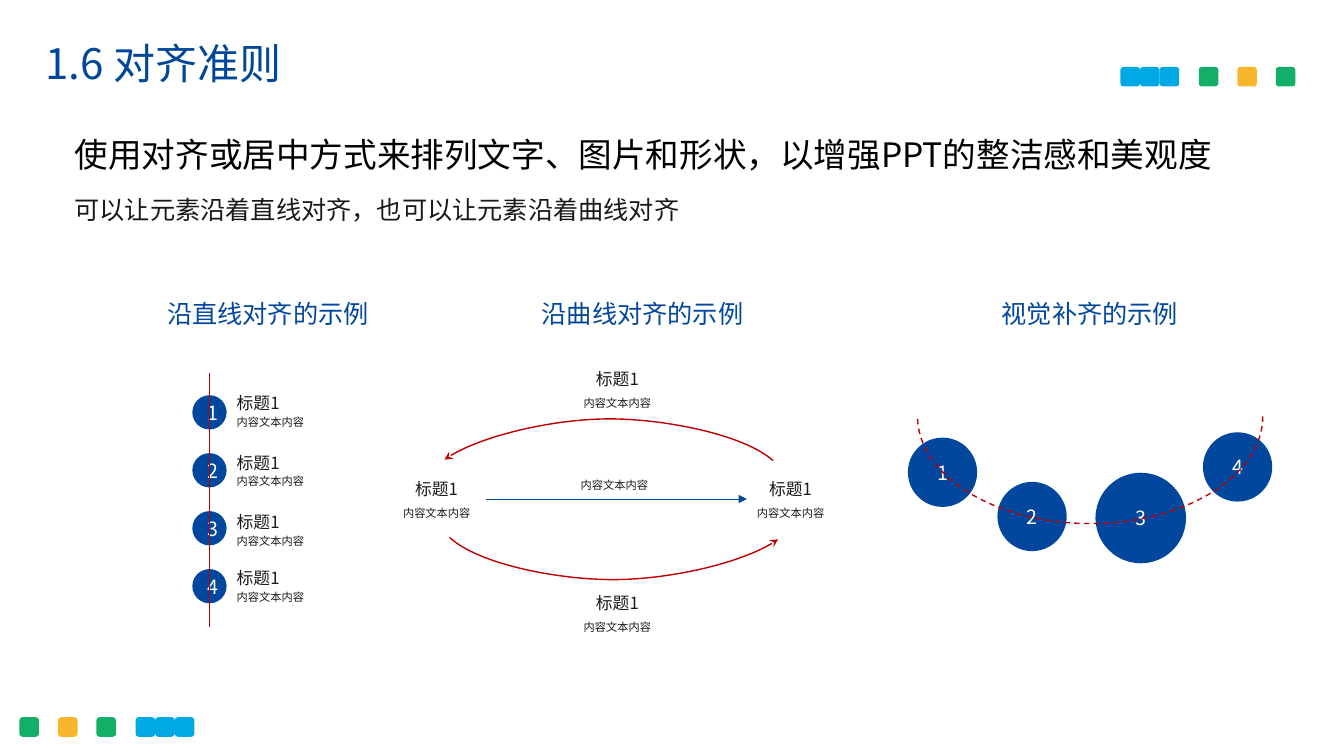
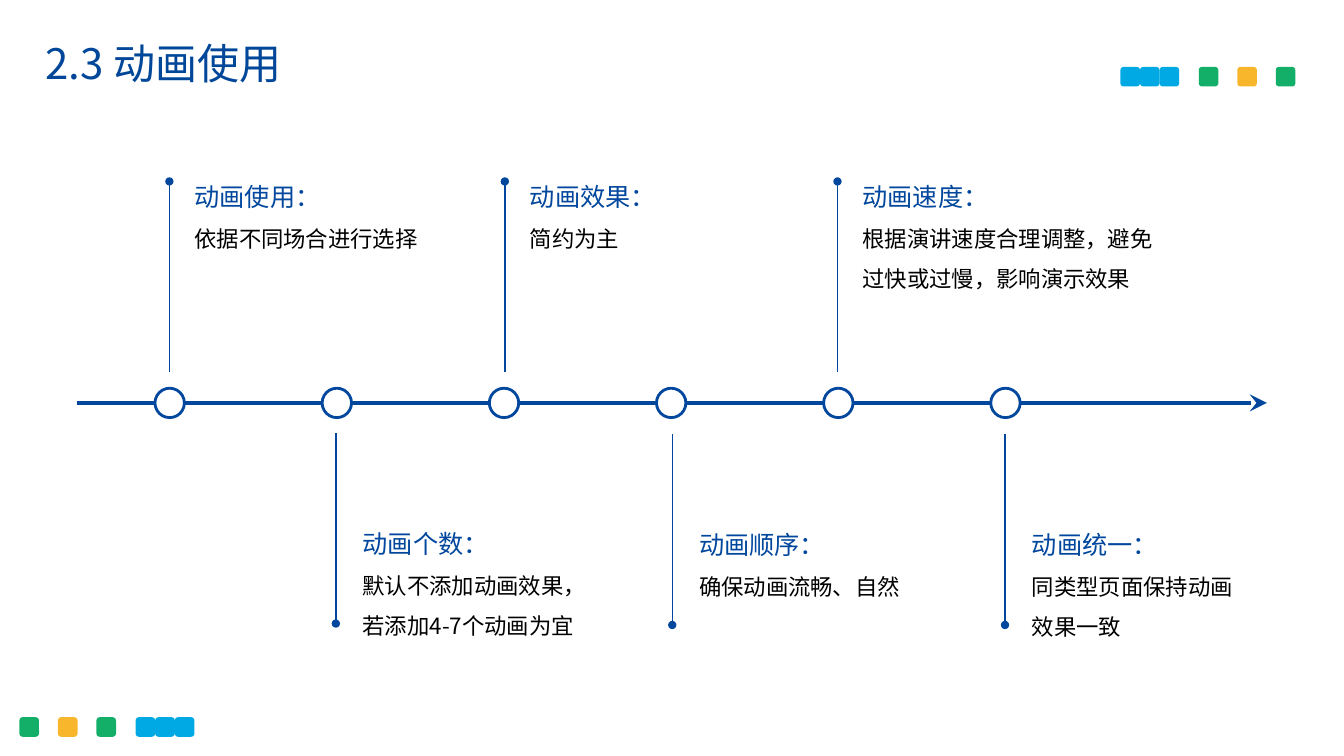
"""Build two slides on alignment rules and the use of animation."""
from typing import NamedTuple, Optional

from lxml.etree import SubElement
from pptx import Presentation
from pptx.dml.color import RGBColor
from pptx.enum.dml import MSO_LINE
from pptx.enum.shapes import MSO_CONNECTOR as Link, MSO_SHAPE as Preset
from pptx.enum.text import MSO_ANCHOR as Anchor, PP_ALIGN as Align
from pptx.oxml.ns import qn
from pptx.shapes.autoshape import Shape
from pptx.slide import Slide, SlideLayout
from pptx.text.text import TextFrame
from pptx.util import Pt

FONT = "Noto Sans CJK SC"
TITLE_BLUE, BLUE, RED = "004799", "00479D", "C00000"
BLACK, INK, WHITE = "000000", "191919", "FFFFFF"
SKY, GREEN, AMBER = "00A9E4", "13AE67", "F8B62D"

SQUARE = 14
SQUARES = [(0, SKY), (14, SKY), (28, SKY), (56, GREEN), (83.5, AMBER), (111, GREEN)]
HEADER_LEFT, HEADER_TOP = 800.3, 47.8
FOOTER_LEFT, FOOTER_TOP = 13.9, 512.3

NODE_LEFT, NODE_STEP, NODE_SIZE, AXIS = 110.7, 119.4, 21, 287.8


class Line(NamedTuple):
    """One paragraph of text with its size and colour."""
    text: str
    size: float
    color: str


class Box(NamedTuple):
    """A rectangle in points."""
    left: float
    top: float
    width: float
    height: float


class Caption(NamedTuple):
    """A small title with a content line below it."""
    left: float
    top: float
    gap: float
    shift: float = 0
    align: Align = Align.LEFT


class Disc(NamedTuple):
    """A numbered circle."""
    left: float
    top: float
    size: float
    label: str


class Curve(NamedTuple):
    """A chain of cubic curves, given as start, controls and ends."""
    points: list[tuple[float, float]]
    head: Optional[str] = None
    dashed: bool = False


class Step(NamedTuple):
    """One stop on the timeline, with its stem and text."""
    stem: float
    near: float
    far: float
    text_top: float
    heading: str
    details: list[str]
    width: float = 183
    height: float = 66


DISCS = [Disc(137.4, 282.3 + 41.4 * i, 24.5, str(i + 1)) for i in range(4)] + [
    Disc(648.5, 312.6, 49.5, "1"),
    Disc(712.5, 344.2, 49.5, "2"),
    Disc(782.5, 337.7, 64.7, "3"),
    Disc(859.3, 308.8, 49.5, "4"),
]
CAPTIONS = [Caption(162, top, 15.8) for top in (277.2, 319.7, 362.2, 402.2)] + [
    Caption(403.2, 419.8, 19.6, align=Align.CENTER),
    Caption(403.2, 260.1, 19.6, align=Align.CENTER),
    Caption(542.2, 338.4, 19.6, -8.6),
    Caption(289.4, 338.4, 19.6, -8.6),
]
CURVES = [
    Curve([(902, 297.4), (902, 339.8), (846.7, 374), (779, 374),
           (710.6, 374), (655.4, 339.8), (655.4, 297.4)], dashed=True),
    Curve([(555.8, 385.2), (532.8, 401.8), (476.6, 414), (437.8, 414),
           (398.9, 414), (342, 403.2), (321.1, 383.8)], head="stealth"),
    Curve([(317.5, 328.3), (340.6, 311.8), (396.7, 299.2), (435.6, 299.2),
           (474.5, 299.2), (531.4, 310.3), (552.2, 329)], head="stealth"),
]
ABOVE = (265.7, 129.6, 115.2)
BELOW = (310.3, 446.4, 363.8)
STEPS = [
    Step(121, *ABOVE, "动画使用：", ["依据不同场合进行选择"]),
    Step(239.9, 309.4, 445.4, 362.9, "动画个数：",
         ["默认不添加动画效果，若添加4-7个动画为宜"], height=95),
    Step(360.6, *ABOVE, "动画效果：", ["简约为主"]),
    Step(480.2, *BELOW, "动画顺序：", ["确保动画流畅、自然"]),
    Step(598.2, *ABOVE, "动画速度：",
         ["根据演讲速度合理调整，避免过快或过慢，影响演示效果"], 229.7, 95),
    Step(717.9, *BELOW, "动画统一：", ["同类型页面保持动画", "效果一致"], 205.2, 95),
]


def rgb(color: str) -> RGBColor:
    """Turn a hex string into a colour."""
    return RGBColor.from_string(color)


def write(frame: TextFrame, lines: list[Line], align: Align = Align.LEFT,
          spacing: float = 1.0) -> None:
    """Fill a text frame and format its runs."""
    frame.text = "\n".join(line.text for line in lines)
    for para, line in zip(frame.paragraphs, lines):
        para.alignment = align
        para.line_spacing = spacing
        for span in para.runs:
            span.font.size = Pt(line.size)
            span.font.name = FONT
            span.font.color.rgb = rgb(line.color)
            SubElement(span.font._element, qn("a:ea")).set("typeface", FONT)


def add_text(page: Slide, box: Box, lines: list[Line], align: Align = Align.LEFT,
             spacing: float = 1.0) -> None:
    """Add a wrapping text box."""
    frame = page.shapes.add_textbox(*map(Pt, box)).text_frame
    frame.word_wrap = True
    write(frame, lines, align, spacing)


def add_shape(page: Slide, preset: Preset, box: Box, fill: str,
              line: Optional[str] = None, width: float = 1) -> Shape:
    """Add a flat preset shape."""
    shape = page.shapes.add_shape(preset, *map(Pt, box))
    shape.shadow.inherit = False
    shape.fill.solid()
    shape.fill.fore_color.rgb = rgb(fill)
    if line:
        shape.line.color.rgb = rgb(line)
        shape.line.width = Pt(width)
    else:
        shape.line.fill.background()
    return shape


def add_disc(page: Slide, disc: Disc) -> None:
    """Add a numbered circle."""
    box = Box(disc.left, disc.top, disc.size, disc.size)
    shape = add_shape(page, Preset.OVAL, box, BLUE)
    shape.text_frame.vertical_anchor = Anchor.MIDDLE
    write(shape.text_frame, [Line(disc.label, 14, WHITE)], Align.CENTER)


def add_line(page: Slide, start: tuple[float, float], end: tuple[float, float],
             color: str, width: float, tail: Optional[str] = None,
             tail_size: str = "med") -> None:
    """Add a straight line with an optional arrowhead at its end."""
    link = page.shapes.add_connector(Link.STRAIGHT, *map(Pt, start + end))
    link.line.color.rgb = rgb(color)
    link.line.width = Pt(width)
    properties = link.element.spPr
    if tail:
        arrow = SubElement(properties.find(qn("a:ln")), qn("a:tailEnd"))
        for name, value in (("type", tail), ("w", tail_size), ("len", tail_size)):
            arrow.set(name, value)
    SubElement(properties, qn("a:effectLst"))


def add_curve(page: Slide, curve: Curve) -> None:
    """Add an open red curve."""
    start, *others = [(Pt(x), Pt(y)) for x, y in curve.points]
    builder = page.shapes.build_freeform(*start)
    builder.add_line_segments(others, close=False)
    shape = builder.convert_to_shape()
    outline = next(shape.element.iter(qn("a:path")))
    segments = outline.findall(qn("a:lnTo"))
    for first in range(0, len(segments), 3):
        bend = SubElement(outline, qn("a:cubicBezTo"))
        for segment in segments[first:first + 3]:
            bend.append(segment[0])
            outline.remove(segment)
    shape.shadow.inherit = False
    shape.fill.background()
    shape.line.color.rgb = rgb(RED)
    shape.line.width = Pt(1)
    if curve.dashed:
        shape.line.dash_style = MSO_LINE.DASH
    if curve.head:
        stroke = shape.element.spPr.find(qn("a:ln"))
        SubElement(stroke, qn("a:headEnd")).set("type", curve.head)


def add_caption(page: Slide, caption: Caption) -> None:
    """Add a small title and the content line below it."""
    title = Box(caption.left, caption.top, 75.6, 21.6)
    content = Box(caption.left + caption.shift, caption.top + caption.gap, 75.6, 17.3)
    add_text(page, title, [Line("标题1", 12, INK)], caption.align)
    add_text(page, content, [Line("内容文本内容", 8, INK)], caption.align)


def decorate(layout: SlideLayout, page: Slide) -> None:
    """Put the corner squares on the layout that the slides share."""
    span = SQUARES[-1][0]
    places = [(HEADER_LEFT + offset, HEADER_TOP, color) for offset, color in SQUARES]
    places += [(FOOTER_LEFT + span - offset, FOOTER_TOP, color) for offset, color in SQUARES]
    for number, (left, top, color) in enumerate(places, start=20):
        box = Box(left, top, SQUARE, SQUARE)
        square = add_shape(page, Preset.ROUNDED_RECTANGLE, box, color)
        square.element.nvSpPr.cNvPr.set("id", str(number))
        layout.shapes.element.append(square.element)


def set_title(page: Slide, text: str) -> None:
    """Place and format the title."""
    title = page.shapes.title
    title.left, title.top, title.width, title.height = map(Pt, (25.3, 26, 715, 41.8))
    title.text_frame.vertical_anchor = Anchor.MIDDLE
    write(title.text_frame, [Line(text, 30, TITLE_BLUE)], spacing=0.9)


def build_alignment(page: Slide) -> None:
    """Show alignment along lines and curves."""
    set_title(page, "1.6 对齐准则")
    add_text(page, Box(46.3, 77.8, 867.6, 46), [
        Line("使用对齐或居中方式来排列文字、图片和形状，以增强PPT的整洁感和美观度", 24, BLACK)],
        spacing=1.5)
    add_text(page, Box(46.1, 135.4, 563, 28.8), [
        Line("可以让元素沿着直线对齐，也可以让元素沿着曲线对齐", 18, INK)])
    for left, width, text in [(112.3, 184.3, "沿直线对齐的示例"),
                              (379.8, 167.8, "沿曲线对齐的示例"),
                              (708.4, 141.8, "视觉补齐的示例")]:
        add_text(page, Box(left, 209.5, width, 28.8), [Line(text, 18, BLUE)])
    for disc in DISCS:
        add_disc(page, disc)
    for caption in CAPTIONS:
        add_caption(page, caption)
    add_text(page, Box(407.7, 338.4, 75.6, 17.3), [Line("内容文本内容", 8, INK)])
    add_line(page, (149.8, 266.4), (149.8, 447.8), RED, 1)
    add_line(page, (346.8, 356.4), (533.5, 356.4), BLUE, 0.5, "triangle")
    for curve in CURVES:
        add_curve(page, curve)


def build_timeline(page: Slide) -> None:
    """Show the advice on animation along a timeline."""
    set_title(page, "2.3 动画使用")
    add_line(page, (54.7, AXIS), (905, AXIS), BLUE, 2.5, "stealth", "lg")
    for i, step in enumerate(STEPS):
        node = Box(NODE_LEFT + NODE_STEP * i, AXIS - NODE_SIZE / 2, NODE_SIZE, NODE_SIZE)
        add_shape(page, Preset.OVAL, node, WHITE, BLUE, 2)
        add_line(page, (step.stem, step.near), (step.stem, step.far), BLUE, 1, "oval")
        gap = 10.8 if step.far < step.near else 12.1
        lines = [Line(step.heading, 18, BLUE)]
        lines += [Line(detail, 16, BLACK) for detail in step.details]
        box = Box(step.stem + gap, step.text_top, step.width, step.height)
        add_text(page, box, lines, spacing=1.5)


def main() -> None:
    """Build and save the deck."""
    deck = Presentation()
    deck.slide_width, deck.slide_height = Pt(960), Pt(540)
    layout = deck.slide_layouts[5]
    pages = [deck.slides.add_slide(layout) for _ in range(2)]
    decorate(layout, pages[0])
    build_alignment(pages[0])
    build_timeline(pages[1])
    deck.save("out.pptx")


if __name__ == "__main__":
    main()
